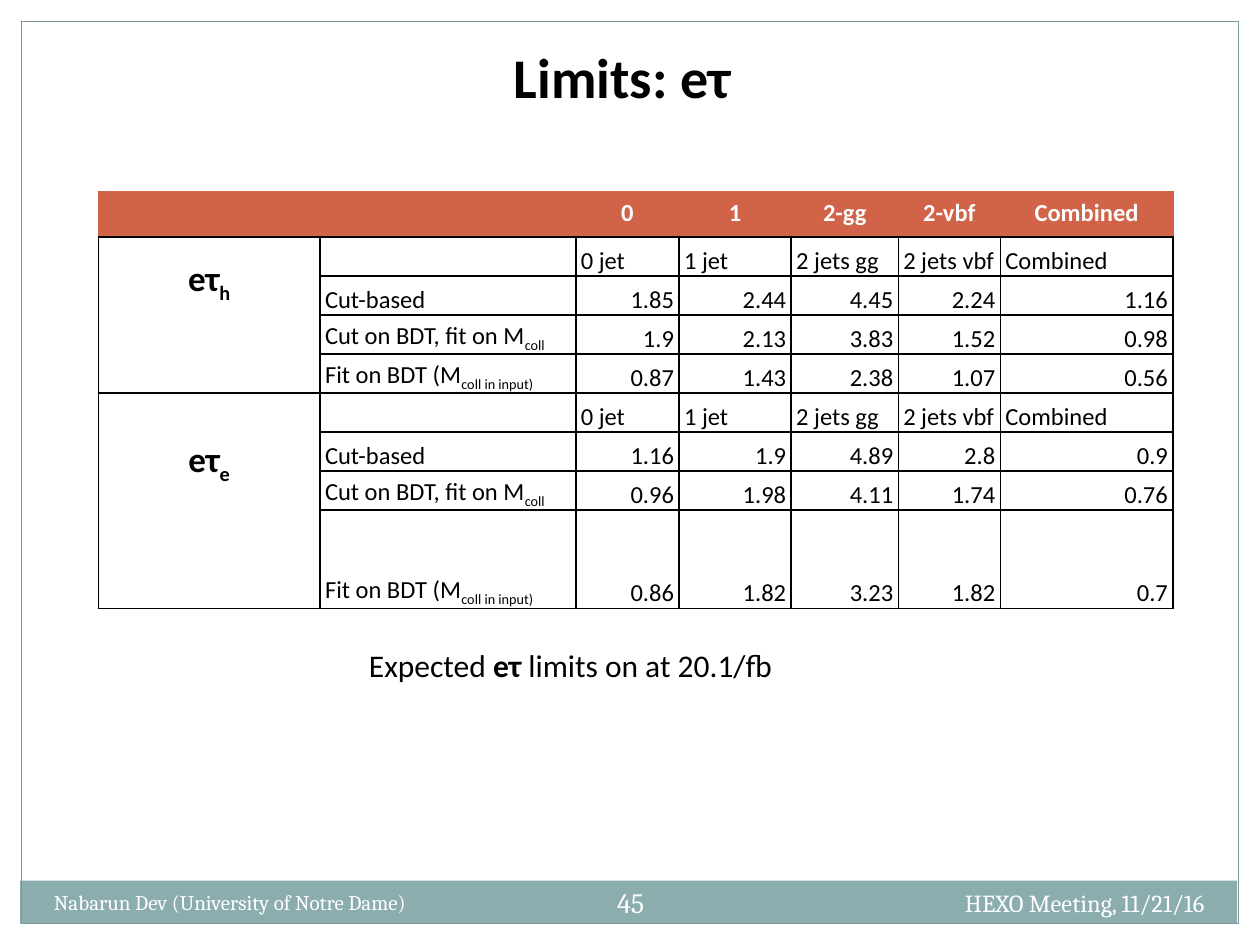
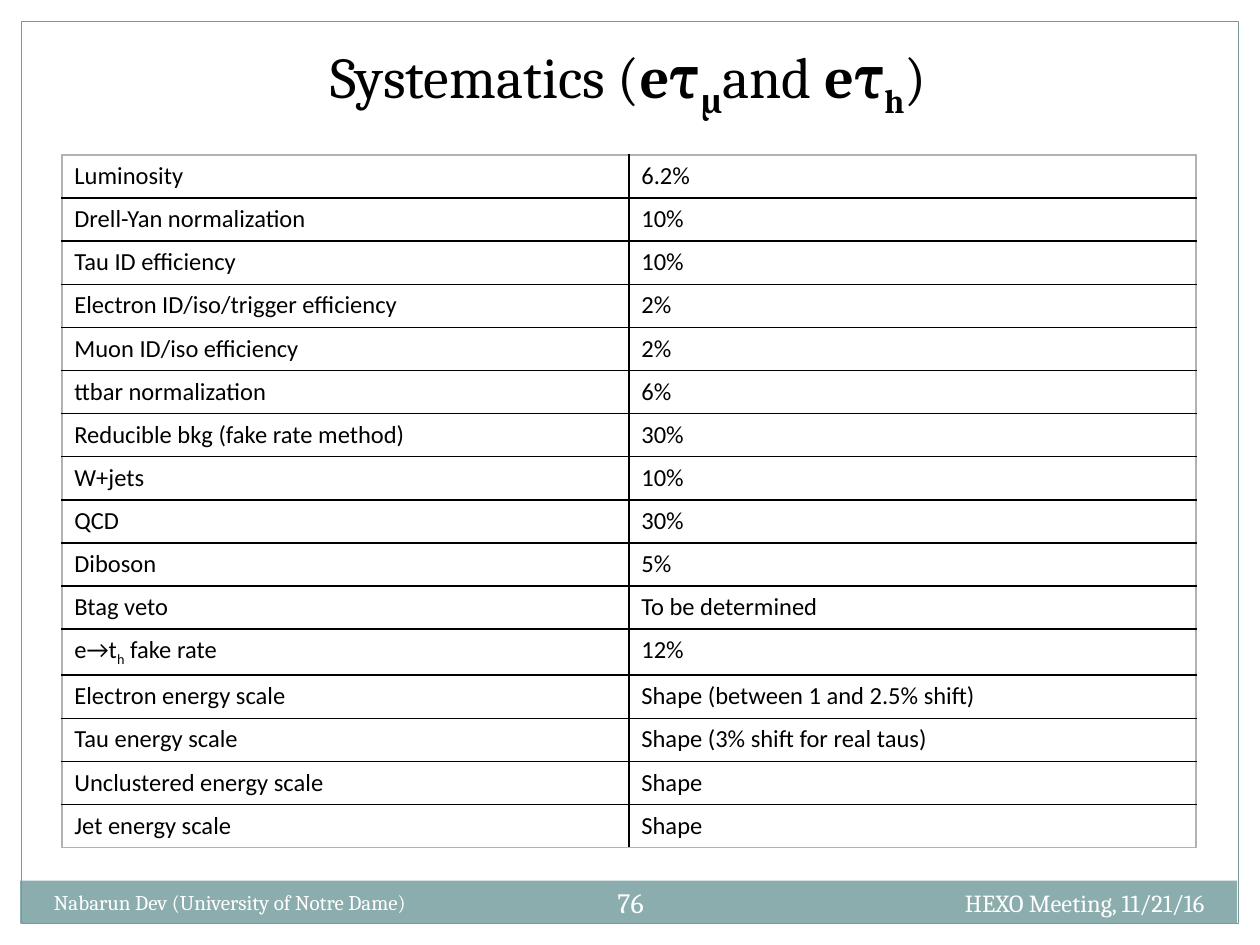
from lxml import etree
from pptx import Presentation
from pptx.dml.color import RGBColor
from pptx.enum import shapes, text
from pptx.oxml import ns
from pptx.util import Inches, Pt

BLACK, WHITE = "000000", "FFFFFF"
BAND, FRAME, HEADER, OUTER = "8CADAE", "7C999A", "D16349", "B2B2B2"
LEFT, CENTER, RIGHT = text.PP_ALIGN.LEFT, text.PP_ALIGN.CENTER, text.PP_ALIGN.RIGHT
TOP, MIDDLE, BOTTOM = (text.MSO_ANCHOR.TOP, text.MSO_ANCHOR.MIDDLE,
                       text.MSO_ANCHOR.BOTTOM)

# Wording is a string or a list of (words, style); style b is bold, s subscript.
AUTHOR = "Nabarun Dev (University of Notre Dame)"
MEETING = "HEXO Meeting, 11/21/16"
MARGINS = [(0, 0, 10, 0.17), (9.83, 0, 0.17, 7.5), (0, 0, 0.17, 7.5)]

LIMITS_TITLE = [("Limits: eτ", "b")]
LIMITS_CAPTION = [("Expected ", ""), ("eτ", "b"), (" limits on at 20.1/fb", "")]
LIMITS_HEADER = ["", "", "0", "1", "2-gg", "2-vbf", "Combined"]
CATEGORIES = ["0 jet", "1 jet", "2 jets gg", "2 jets vbf", "Combined"]
METHODS = [
    "Cut-based",
    [("Cut on BDT, fit on M", ""), ("coll", "s")],
    [("Fit on BDT (M", ""), ("coll in input)", "s")],
]
# Channel subscript, space above its name, one row of limits per method
CHANNELS = [
    ("h", 0.17, [["1.85", "2.44", "4.45", "2.24", "1.16"],
                 ["1.9", "2.13", "3.83", "1.52", "0.98"],
                 ["0.87", "1.43", "2.38", "1.07", "0.56"]]),
    ("e", 0.37, [["1.16", "1.9", "4.89", "2.8", "0.9"],
                 ["0.96", "1.98", "4.11", "1.74", "0.76"],
                 ["0.86", "1.82", "3.23", "1.82", "0.7"]]),
]
LIMITS_COLUMNS = [1.76, 2.03, 0.82, 0.89, 0.85, 0.81, 1.37]
LIMITS_ROWS = [0.36] + [0.31] * 7 + [0.78]

SYSTEMATICS_TITLE = [("Systematics (", ""), ("eτ", "b"), ("μ", "bs"), ("and ", ""),
                     ("eτ", "b"), ("h", "bs"), (")", "")]
SYSTEMATICS = [
    ("Luminosity", "6.2%"),
    ("Drell-Yan normalization", "10%"),
    ("Tau ID efficiency", "10%"),
    ("Electron ID/iso/trigger efficiency", "2%"),
    ("Muon ID/iso efficiency", "2%"),
    ("ttbar normalization", "6%"),
    ("Reducible bkg (fake rate method)", "30%"),
    ("W+jets", "10%"),
    ("QCD", "30%"),
    ("Diboson", "5%"),
    ("Btag veto", "To be determined"),
    ([("e→t", ""), ("h", "s"), (" fake rate", "")], "12%"),
    ("Electron energy scale", "Shape (between 1 and 2.5% shift)"),
    ("Tau energy scale", "Shape (3% shift for real taus)"),
    ("Unclustered energy scale", "Shape"),
    ("Jet energy scale", "Shape"),
]


def color(value):
    return RGBColor.from_string(value)


def write(frame, wording, size, font="Calibri", ink=BLACK, align=LEFT):
    """Fill the first paragraph of a text frame with styled runs."""
    para = frame.paragraphs[0]
    para.alignment = align
    spans = [(wording, "")] if isinstance(wording, str) else wording
    for words, style in spans:
        span = para.add_run()
        span.text = words
        span.font.size = Pt(size)
        span.font.name = font
        span.font.bold = "b" in style
        span.font.color.rgb = color(ink)
        if "s" in style:
            span.font._element.set("baseline", "-25000")


def add_text(page, area, wording, size, anchor=TOP, inset=None, **look):
    frame = page.shapes.add_textbox(*map(Inches, area)).text_frame
    frame.word_wrap = True
    frame.vertical_anchor = anchor
    if inset is not None:
        frame.margin_left = frame.margin_right = Inches(inset)
    write(frame, wording, size, **look)


def add_box(page, area, fill=None, line=None):
    box = page.shapes.add_shape(shapes.MSO_SHAPE.RECTANGLE, *map(Inches, area))
    box.shadow.inherit = False
    if fill:
        box.fill.solid()
        box.fill.fore_color.rgb = color(fill)
    else:
        box.fill.background()
    if line:
        box.line.color.rgb = color(line)
        box.line.width = Pt(0.75)
    else:
        box.line.fill.background()


def add_page(deck, number):
    """Add a slide with its margins, frame, footer band and footer texts."""
    page = deck.slides.add_slide(deck.slide_layouts[6])
    for margin in MARGINS:
        add_box(page, margin, fill=WHITE)
    add_box(page, (0.16, 6.99, 9.66, 0.34), fill=BAND)
    add_box(page, (0.17, 0.17, 9.66, 7.16), line=FRAME)
    footer = {"font": "Cambria", "ink": WHITE}
    add_text(page, (0.33, 7.01, 3.92, 0.4), AUTHOR, 12, **footer)
    add_text(page, (4.67, 6.92, 0.67, 0.48), number, 16, MIDDLE, 0.05,
             align=CENTER, **footer)
    add_text(page, (6.33, 7, 3.33, 0.4), MEETING, 14, align=RIGHT, **footer)
    return page


def set_borders(cell, left, right, top, bottom):
    """Draw the four borders; None leaves a side without a line."""
    properties = cell._tc.get_or_add_tcPr()
    sides = zip(("a:lnL", "a:lnR", "a:lnT", "a:lnB"), (left, right, top, bottom))
    for index, (tag, ink) in enumerate(sides):
        line = etree.Element(ns.qn(tag), w=str(Pt(1)))
        properties.insert(index, line)
        if ink is None:
            etree.SubElement(line, ns.qn("a:noFill"))
        else:
            fill = etree.SubElement(line, ns.qn("a:solidFill"))
            etree.SubElement(fill, ns.qn("a:srgbClr"), val=ink)


def add_table(page, left, top, columns, rows):
    area = map(Inches, (left, top, sum(columns), sum(rows)))
    table = page.shapes.add_table(len(rows), len(columns), *area).table
    table.first_row = table.horz_banding = False
    for column, width in zip(table.columns, columns):
        column.width = Inches(width)
    for row, height in zip(table.rows, rows):
        row.height = Inches(height)
    for cell in table.iter_cells():
        cell.fill.background()
    return table


def set_tight(cell, anchor=BOTTOM, above=0):
    cell.vertical_anchor = anchor
    cell.margin_left = cell.margin_right = Inches(0.04)
    cell.margin_top, cell.margin_bottom = Inches(above), 0


def build_limits(deck):
    page = add_page(deck, "45")
    add_text(page, (1.31, 0.29, 7.26, 0.64), LIMITS_TITLE, 32, align=CENTER)
    add_text(page, (2.83, 5.08, 5, 0.4), LIMITS_CAPTION, 18)

    table = add_table(page, 0.78, 1.52, LIMITS_COLUMNS, LIMITS_ROWS)
    last = len(LIMITS_COLUMNS) - 1
    for index, heading in enumerate(LIMITS_HEADER):
        cell = table.cell(0, index)
        cell.fill.solid()
        cell.fill.fore_color.rgb = color(HEADER)
        set_borders(cell, None if index else HEADER,
                    HEADER if index == last else None, HEADER, BLACK)
        if heading:
            write(cell.text_frame, [(heading, "b")], 14, ink=WHITE, align=CENTER)
        else:
            set_tight(cell)

    block = len(METHODS) + 1
    for order, (channel, above, limits) in enumerate(CHANNELS):
        start = 1 + order * block
        lines = [["", *CATEGORIES]]
        lines += [[method, *values] for method, values in zip(METHODS, limits)]
        for row, line in enumerate(lines, start):
            set_borders(table.cell(row, 0), *[BLACK] * 4)
            for index, wording in enumerate(line, 1):
                cell = table.cell(row, index)
                set_tight(cell)
                set_borders(cell, *[BLACK] * 4)
                numeric = row > start and index > 1
                if wording:
                    write(cell.text_frame, wording, 14,
                          align=RIGHT if numeric else LEFT)
        name = table.cell(start, 0)
        name.merge(table.cell(start + block - 1, 0))
        set_tight(name, TOP, above)
        write(name.text_frame, [("eτ", "b"), (channel, "bs")], 20, align=CENTER)


def build_systematics(deck):
    page = add_page(deck, "76")
    add_text(page, (0.49, -0.25, 9, 1.25), SYSTEMATICS_TITLE, 33, BOTTOM,
             font="Cambria", align=CENTER)
    count = len(SYSTEMATICS)
    table = add_table(page, 0.49, 1.23, [4.5] * 2, [5.48 / count] * count)
    for row, line in enumerate(SYSTEMATICS):
        for index, wording in enumerate(line):
            cell = table.cell(row, index)
            set_borders(cell, BLACK if index else OUTER, OUTER if index else BLACK,
                        BLACK if row else OUTER,
                        BLACK if row < count - 1 else OUTER)
            write(cell.text_frame, wording, 14)


def main():
    deck = Presentation()
    deck.slide_width, deck.slide_height = Inches(10), Inches(7.5)
    build_limits(deck)
    build_systematics(deck)
    deck.save("out.pptx")


if __name__ == "__main__":
    main()
